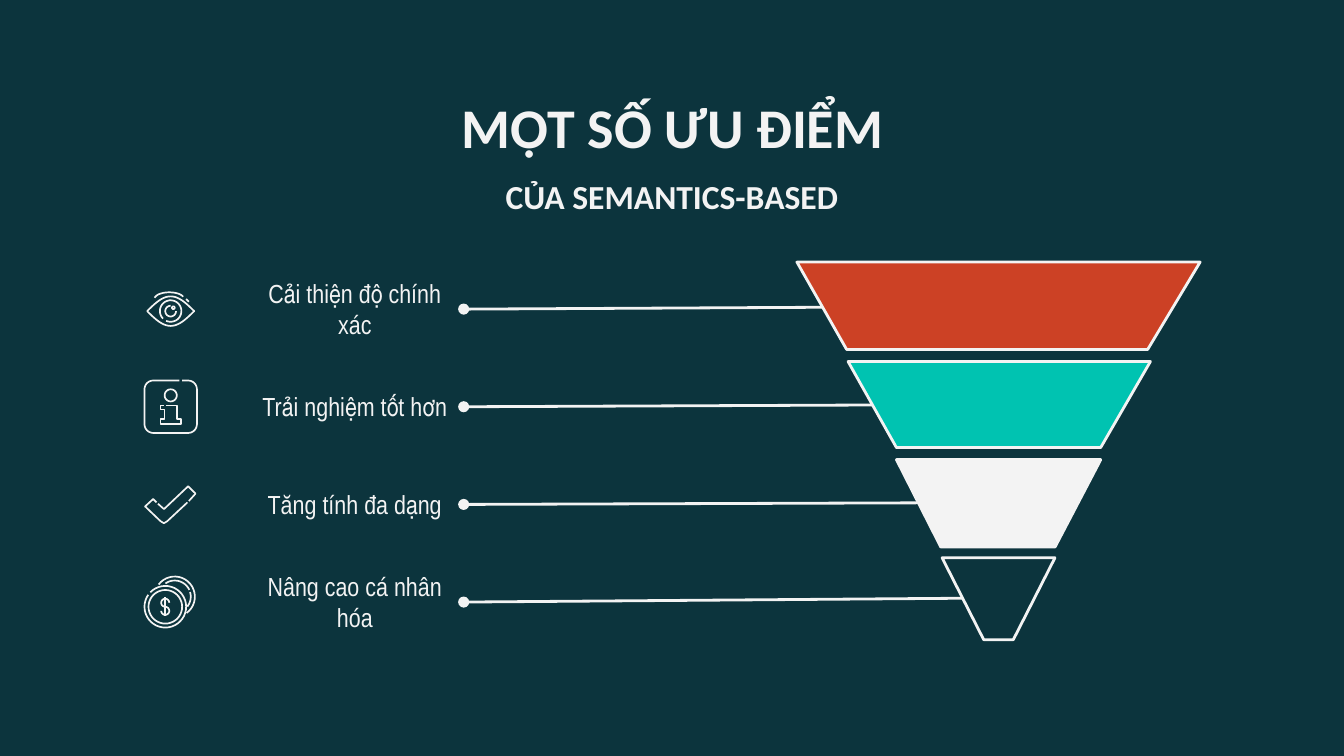
"""Build the funnel slide on the advantages of semantics-based methods."""
from dataclasses import dataclass
from math import cos, pi, radians, sin

from lxml.etree import SubElement
from pptx import Presentation
from pptx.dml.color import RGBColor
from pptx.enum.shapes import MSO_CONNECTOR
from pptx.enum.text import MSO_ANCHOR, PP_ALIGN
from pptx.oxml.ns import qn
from pptx.util import Inches, Pt

Point = tuple[float, float]
Path = list[Point]

PALE, DARK = "F3F3F3", "0C343D"
TOP, LAST = 2.03, 4.21
MIDDLE = 0.27
ICON_X = 1.27


@dataclass
class Label:
    text: str
    left: float
    top: float
    width: float
    height: float
    size: int
    font: str = "Calibri"
    bold: bool = True
    anchor: MSO_ANCHOR = MSO_ANCHOR.TOP


@dataclass
class Stage:
    text: str
    fill: str
    corners: Path
    tip: float
    icon: list[Path]


def color(code: str) -> RGBColor:
    return RGBColor.from_string(code)


def arc(x: float, y: float, r: float, start: int = 0, end: int = 360,
        squash: float = 1) -> Path:
    count = max(8, abs(end - start) // 9)
    turns = [radians(start + (end - start) * i / count) for i in range(count + 1)]
    return [(x + r * cos(a), y + r * squash * sin(a)) for a in turns]


def lens(x: float, y: float, wide: float, high: float) -> Path:
    spans = [i / 10 for i in range(-10, 11)]
    upper = [(x + wide * t, y - high * cos(pi * t / 2)) for t in spans]
    return upper + [(px, 2 * y - py) for px, py in upper[::-1]]


def place(path: Path, x: float, y: float) -> Path:
    return [(x + px / 100, y + py / 100) for px, py in path]


def draw(shapes, path: Path, width: float, fill: str | None = None) -> None:
    points = [(Inches(x), Inches(y)) for x, y in path]
    pen = shapes.build_freeform(*points[0])
    pen.add_line_segments(points[1:], close=fill is not None)
    shape = pen.convert_to_shape()
    shape.shadow.inherit = False
    if fill is None:
        shape.fill.background()
    else:
        shape.fill.solid()
        shape.fill.fore_color.rgb = color(fill)
    shape.line.color.rgb = color(PALE)
    shape.line.width = Pt(width)


def write(shapes, label: Label) -> None:
    box = shapes.add_textbox(
        Inches(label.left), Inches(label.top), Inches(label.width), Inches(label.height))
    frame = box.text_frame
    frame.word_wrap = True
    frame.vertical_anchor = label.anchor
    frame.margin_left = frame.margin_right = Inches(0.1)
    frame.margin_top = frame.margin_bottom = Inches(0.1)
    para = frame.paragraphs[0]
    para.text = label.text
    para.alignment = PP_ALIGN.CENTER
    para.font.size = Pt(label.size)
    para.font.name = label.font
    para.font.bold = label.bold
    para.font.color.rgb = color(PALE)


def link(shapes, start: Point, end: Point) -> None:
    line = shapes.add_connector(
        MSO_CONNECTOR.STRAIGHT, *(Inches(v) for v in start + end))
    line.line.color.rgb = color(PALE)
    line.line.width = Pt(1.5)
    SubElement(line.get_or_add_ln(), qn("a:headEnd"), type="oval")
    SubElement(line._element.spPr, qn("a:effectLst"))


EYE = [
    arc(-1, -7.5, 11, 190, 340, 0.45),
    [(11.5, -7.5), (13.5, -5.5)],
    lens(0, 1.5, 17.5, 11),
    arc(0, 1.5, 8, -225, 115),
    arc(0, 1.5, 4, 0, 270),
    arc(2, -1, 1),
]
INFO = [
    [(8.5, -19.5), *arc(13, -13, 6.5, -90, 0), *arc(13, 13, 6.5, 0, 90),
     *arc(-13, 13, 6.5, 90, 180), *arc(-13, -13, 6.5, 180, 270), (6.5, -19.5)],
    arc(0, -8.5, 4.5),
    [(-3.5, -1), (4.5, -1), (4.5, 9), (7.5, 9), (7.5, 13), (-7.5, 13),
     (-7.5, 9), (-4.5, 9), (-4.5, 2), (-7.5, 2), (-7.5, -1), (-5, -1)],
]
CHECK = [
    [(-10.5, -1.5), (-13, -4), (-19, 1.5), (-7.5, 12.5), (-5, 14),
     (-2.5, 12.5), (12.5, -1.5)],
    [(-9.5, -0.5), (-5, 3.5), (13, -13.5), (18.5, -8), (13.5, -2.5)],
]
COINS = [
    arc(-4, 3.5, 15.5, 224, 575),
    arc(-4, 3.5, 12.5),
    arc(3, -4, 15, 217, 414),
    arc(3, -4, 12, 235, 335),
    arc(3, -4, 12, 343, 398),
    [(-4, -3.5), (-4, 10.5)],
    arc(-4, 0.5, 3, 360, 90) + arc(-4, 6.5, 3, -90, 180),
]
STAGES = [
    Stage("Cải thiện độ chính xác", "CC4125",
          [(5.93, 1.95), (6.3, 2.6), (8.54, 2.6), (8.93, 1.95)], 2.28, EYE),
    Stage("Trải nghiệm tốt hơn", "00C3B1",
          [(6.31, 2.69), (6.67, 3.33), (8.19, 3.33), (8.56, 2.69)], 3.01, INFO),
    Stage("Tăng tính đa dạng", PALE,
          [(6.67, 3.42), (7, 4.07), (7.85, 4.07), (8.19, 3.42)], 3.74, CHECK),
    Stage("Nâng cao cá nhân hóa", DARK,
          [(7.01, 4.15), (7.32, 4.76), (7.54, 4.76), (7.85, 4.15)], 4.45, COINS),
]


def main() -> None:
    deck = Presentation()
    deck.slide_width = Inches(10)
    deck.slide_height = deck.slide_width * 9 // 16
    slide = deck.slides.add_slide(deck.slide_layouts[6])
    slide.background.fill.solid()
    slide.background.fill.fore_color.rgb = color(DARK)
    shapes = slide.shapes
    write(shapes, Label("MỘT SỐ ƯU ĐIỂM", 0.79, 0.59, 8.43, 0.63, 30))
    write(shapes, Label("CỦA SEMANTICS-BASED", 3.37, 1.21, 3.26, 0.5, 18,
                        anchor=MSO_ANCHOR.BOTTOM))
    step = (LAST - TOP) / (len(STAGES) - 1)
    for row, stage in enumerate(STAGES):
        top = TOP + step * row
        link(shapes, (3.45, top + MIDDLE), (7.33, stage.tip))
        draw(shapes, stage.corners, 1.5, stage.fill)
        write(shapes, Label(stage.text, 1.83, top, 1.62, 0.53, 14,
                            "Arial Narrow", False, MSO_ANCHOR.MIDDLE))
        for path in stage.icon:
            draw(shapes, place(path, ICON_X, top + MIDDLE), 0.9)
    deck.save("out.pptx")


if __name__ == "__main__":
    main()
